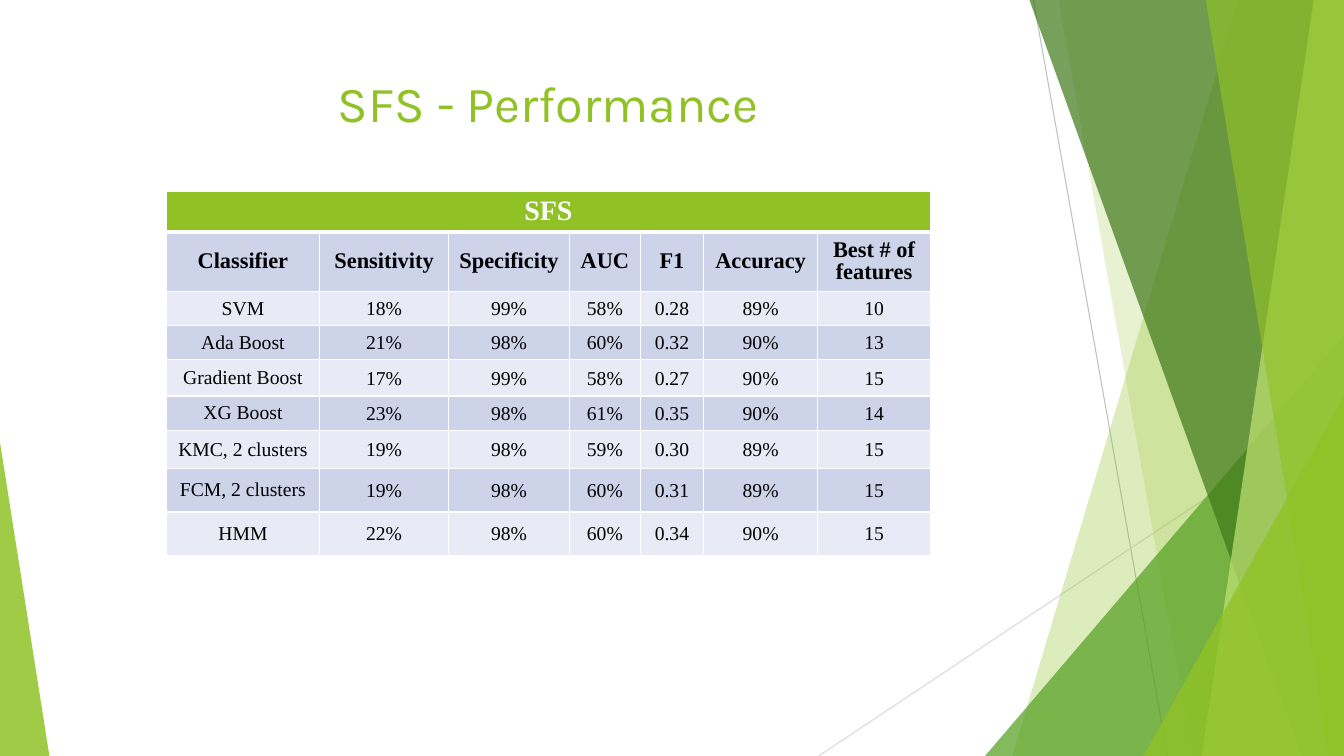
"""Build the SFS performance slide with its table and green facets."""
from lxml import etree
from pptx import Presentation
from pptx.dml.color import RGBColor
from pptx.enum.shapes import MSO_CONNECTOR, MSO_SHAPE
from pptx.enum.text import MSO_ANCHOR, PP_ALIGN
from pptx.oxml.ns import qn
from pptx.util import Pt

PX = 9144
WIDE, HIGH = 1333, 750
LINE = MSO_CONNECTOR.STRAIGHT
WEDGE = MSO_SHAPE.ISOSCELES_TRIANGLE
MIDDLE, TOP = MSO_ANCHOR.MIDDLE, MSO_ANCHOR.TOP
CENTER = PP_ALIGN.CENTER

HUES = {
    "green": "90C226", "leaf": "54A021", "moss": "3F7819", "lime": "C0E474",
    "gray": "BFBFBF", "pale": "D9D9D9", "white": "FFFFFF", "black": "000000",
    "band": "CDD4EA", "light": "E8EBF5",
}

TITLE = "SFS - Performance"
ROWS = [
    ("SFS",),
    ("Classifier", "Sensitivity", "Specificity", "AUC", "F1", "Accuracy", "Best # of features"),
    ("SVM", "18%", "99%", "58%", "0.28", "89%", "10"),
    ("Ada Boost", "21%", "98%", "60%", "0.32", "90%", "13"),
    ("Gradient Boost", "17%", "99%", "58%", "0.27", "90%", "15"),
    ("XG Boost", "23%", "98%", "61%", "0.35", "90%", "14"),
    ("KMC, 2 clusters", "19%", "98%", "59%", "0.30", "89%", "15"),
    ("FCM, 2 clusters", "19%", "98%", "60%", "0.31", "89%", "15"),
    ("HMM", "22%", "98%", "60%", "0.34", "90%", "15"),
]
WIDTHS = [152, 128, 120, 70, 63, 113, 112]
HEIGHTS = [40, 59, 34, 34, 36, 34, 38, 43, 43]

RAYS = [((1025, 0), (1158, HIGH), "gray"), ((WIDE, 403), (812, HIGH), "pale")]
FACETS = [
    ("slab", 1228, 1004, "green", 30),
    ("slab", 1050, 1183, "green", 20),
    ("wedge", 977, 333, "leaf", 72),
    ("slab", 1021, 1291, "moss", 70),
    ("slab", 1303, 1192, "lime", 70),
    ("slab", 1196, 1318, "green", 65),
    ("wedge", 1134, 393, "green", 80),
]


def rgb(hue):
    return RGBColor.from_string(HUES[hue])


def tint(shape, hue, alpha):
    shape.shadow.inherit = False
    shape.line.fill.background()
    shape.fill.solid()
    shape.fill.fore_color.rgb = rgb(hue)
    color = shape.element.spPr.find(".//" + qn("a:srgbClr"))
    etree.SubElement(color, qn("a:alpha"), val=str(alpha * 1000))


def draw_ray(shapes, start, end, hue):
    ray = shapes.add_connector(LINE, *[n * PX for n in start + end])
    ray.line.color.rgb = rgb(hue)
    ray.line.width = Pt(0.75)
    etree.SubElement(ray.element.spPr, qn("a:effectLst"))


def draw_slab(shapes, top, base, hue, alpha):
    pen = shapes.build_freeform(top, 0, scale=PX)
    pen.add_line_segments([(WIDE, 0), (WIDE, HIGH), (base, HIGH)], close=True)
    tint(pen.convert_to_shape(), hue, alpha)


def draw_wedge(shapes, left, top, right, peak, hue, alpha):
    box = (left, top, right - left, HIGH - top)
    wedge = shapes.add_shape(WEDGE, *[n * PX for n in box])
    wedge.adjustments[0] = peak
    tint(wedge, hue, alpha)


def style(frame, font, size, hue, bold=False):
    para = frame.paragraphs[0]
    para.alignment = CENTER
    for run in para.runs:
        run.font.name, run.font.size, run.font.bold = font, Pt(size), bold
        run.font.color.rgb = rgb(hue)
    return para


def edge(cell, row):
    props = cell._tc.get_or_add_tcPr()
    for spot, side in enumerate("LRTB"):
        thick = (row, side) in ((0, "B"), (1, "T"))
        line = etree.Element(qn("a:ln" + side), w=str(Pt(3 if thick else 1)))
        fill = etree.SubElement(line, qn("a:solidFill"))
        etree.SubElement(fill, qn("a:srgbClr"), val=HUES["white"])
        props.insert(spot, line)


def fill_cell(cell, row, col):
    cell.fill.solid()
    cell.fill.fore_color.rgb = rgb("green" if row == 0 else "band" if row % 2 else "light")
    cell.vertical_anchor = MIDDLE
    if row > 1 and col:
        cell.margin_left = cell.margin_right = cell.margin_top = PX
        cell.margin_bottom = 0
    edge(cell, row)
    if col < len(ROWS[row]):
        cell.text_frame.text = ROWS[row][col]
        size = (20, 16)[row] if row < 2 else 14
        para = style(cell.text_frame, "Times New Roman", size, "black" if row else "white", row < 2)
        if row < 2:
            para.line_spacing = 0.9


def draw_table(shapes):
    box = (165, 190, sum(WIDTHS), sum(HEIGHTS))
    table = shapes.add_table(len(ROWS), len(WIDTHS), *[n * PX for n in box]).table
    table.horz_banding = False
    for col, width in enumerate(WIDTHS):
        table.columns[col].width = width * PX
    for row, height in enumerate(HEIGHTS):
        table.rows[row].height = height * PX
        for col in range(len(WIDTHS)):
            fill_cell(table.cell(row, col), row, col)
    table.cell(0, 0).merge(table.cell(0, len(WIDTHS) - 1))


def main():
    deck = Presentation()
    deck.slide_width, deck.slide_height = WIDE * PX, HIGH * PX
    slide = deck.slides.add_slide(deck.slide_layouts[5])
    shapes = slide.shapes
    for ray in RAYS:
        draw_ray(shapes, *ray)
    for kind, first, second, hue, alpha in FACETS:
        if kind == "slab":
            draw_slab(shapes, first, second, hue, alpha)
        else:
            draw_wedge(shapes, first, second, WIDE, 1, hue, alpha)
    draw_wedge(shapes, 0, 439, 49, 0, "green", 85)
    draw_table(shapes)
    title = shapes.title
    title.left, title.top, title.width, title.height = [n * PX for n in (74, 67, 940, 144)]
    title.text_frame.text = TITLE
    title.text_frame.vertical_anchor = TOP
    style(title.text_frame, "Karla", 36, "green")
    deck.save("out.pptx")


if __name__ == "__main__":
    main()
